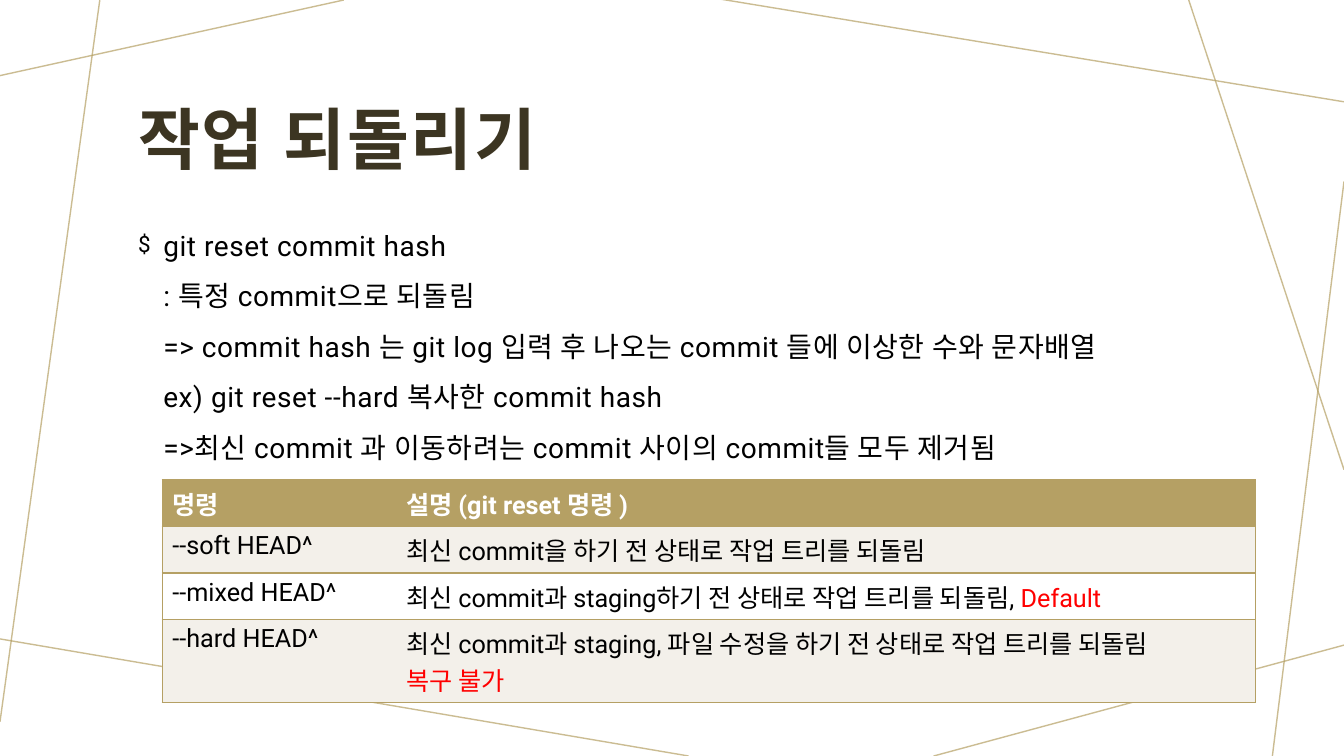
"""Build the slide on undoing work with git reset."""
import lxml.etree
import pptx
import pptx.dml.color
import pptx.enum.shapes
import pptx.enum.text
import pptx.oxml
import pptx.oxml.ns
import pptx.util

Inches = pptx.util.Inches
GOLD, BROWN, BLACK, WHITE, RED, SAND = "B5A064", "3C3522", "000000", "FFFFFF", "FF0000", "F3F0EA"


def paint(target, color):
    """Set a colour from a hex string on a fill, or on the fill of a font or line."""
    fill = target if hasattr(target, "solid") else target.fill
    fill.solid()
    fill.fore_color.rgb = pptx.dml.color.RGBColor.from_string(color)


def style(para, size, color, bold=False, spacing=0):
    """Format every run of a paragraph."""
    for span in para.runs:
        span.font.name = "Roboto"
        span.font.size = pptx.util.Pt(size)
        span.font.bold = bold
        paint(span.font, color)
        if spacing:
            span.font._element.set("spc", str(spacing)) if hasattr(span.font, "_element") else span._r.get_or_add_rPr().set("spc", str(spacing))


deck = pptx.Presentation()
deck.slide_width, deck.slide_height = Inches(13.33), Inches(7.5)
page = deck.slides.add_slide(deck.slide_layouts[1])
title, body = page.shapes.title, page.placeholders[1]

background_lines = [
    (3.41, 0, 0, 0.75), (0.99, 0, 0, 7.16), (6.83, 7.5, -0.05, 6.33),
    (13.33, 6.4, 9.26, 7.5), (13.33, 1.8, 12.62, 7.5),
    (13.33, 4.66, 11.79, 0), (13.33, 1.01, 7.14, -0.01),
]
for ends in background_lines:
    line = page.shapes.add_connector(
        pptx.enum.shapes.MSO_CONNECTOR.STRAIGHT, *[Inches(value) for value in ends])
    line.line.width = pptx.util.Pt(1)
    paint(line.line, GOLD)
    tint = line.element.find(".//" + pptx.oxml.ns.qn("a:srgbClr"))
    lxml.etree.SubElement(tint, pptx.oxml.ns.qn("a:alpha"), val="70000")
    lxml.etree.SubElement(line.element.spPr, pptx.oxml.ns.qn("a:effectLst"))
    title.element.addprevious(line.element)

for holder, top, height, anchor in [(title, 0.58, 1.51, "MIDDLE"), (body, 1.98, 4.4, "TOP")]:
    holder.left, holder.top = Inches(1.25), Inches(top)
    holder.width, holder.height = Inches(10.83), Inches(height)
    frame = holder.text_frame
    frame.word_wrap = True
    frame.auto_size = pptx.enum.text.MSO_AUTO_SIZE.NONE
    frame.vertical_anchor = pptx.enum.text.MSO_ANCHOR[anchor]
    frame.margin_left = frame.margin_top = frame.margin_right = Inches(0.12)
    frame.margin_bottom = Inches(0.1)

title.text_frame.text = "작업 되돌리기"
para = title.text_frame.paragraphs[0]
para.alignment = pptx.enum.text.PP_ALIGN.LEFT
para.line_spacing = 1.05
style(para, 48, BROWN, bold=True, spacing=150)

para = body.text_frame.paragraphs[0]
para.text = "\n".join([
    "git reset commit hash",
    ": 특정 commit으로 되돌림",
    "=> commit hash 는 git log 입력 후 나오는 commit 들에 이상한 수와 문자배열",
    "ex) git reset --hard 복사한 commit hash",
    "=>최신 commit 과 이동하려는 commit 사이의 commit들 모두 제거됨",
])
layout = para._p.get_or_add_pPr()
layout.set("marL", str(Inches(0.25)))
layout.set("indent", str(Inches(-0.25)))
for tag, name, value in [("buSzPct", "val", "80000"), ("buFont", "typeface", "Roboto"),
                         ("buChar", "char", "$")]:
    lxml.etree.SubElement(layout, pptx.oxml.ns.qn("a:" + tag)).set(name, value)
para.line_spacing = 1.5
para.space_before = pptx.util.Pt(0)
style(para, 20, BLACK, spacing=40)

commands = [
    ("명령", "설명 (git reset 명령 )", ""),
    ("--soft HEAD^", "최신 commit을 하기 전 상태로 작업 트리를 되돌림", ""),
    ("--mixed HEAD^", "최신 commit과 staging하기 전 상태로 작업 트리를 되돌림, ", "Default"),
    ("--hard HEAD^", "최신 commit과 staging, 파일 수정을 하기 전 상태로 작업 트리를 되돌림\n", "복구 불가"),
]
table = page.shapes.add_table(
    len(commands), 2, Inches(1.61), Inches(4.76), Inches(10.84), Inches(1.92)).table
for column, width in zip(table.columns, (2.32, 8.52)):
    column.width = Inches(width)
for row, height in zip(table.rows, (0.41, 0.41, 0.41, 0.69)):
    row.height = Inches(height)

for row_index, (command, explanation, warning) in enumerate(commands):
    header = row_index == 0
    for column_index, text in enumerate((command, explanation)):
        cell = table.cell(row_index, column_index)
        paint(cell.fill, GOLD if header else SAND if row_index % 2 else WHITE)
        para = cell.text_frame.paragraphs[0]
        para.text = text
        style(para, 18, WHITE if header else BLACK, bold=header)
        if warning and column_index == 1:
            span = para.add_run()
            span.text = warning
            style(para, 18, BLACK)
            paint(span.font, RED)
        inner_side = "R" if column_index == 0 else "L"
        for position, side in enumerate("LRTB"):
            paint_xml = "<a:noFill/>" if side == inner_side else (
                f'<a:solidFill><a:srgbClr val="{GOLD}"/></a:solidFill>')
            border = pptx.oxml.parse_xml(
                f'<a:ln{side} {pptx.oxml.ns.nsdecls("a")} w="12700">{paint_xml}</a:ln{side}>')
            cell._tc.get_or_add_tcPr().insert(position, border)

deck.save("out.pptx")
